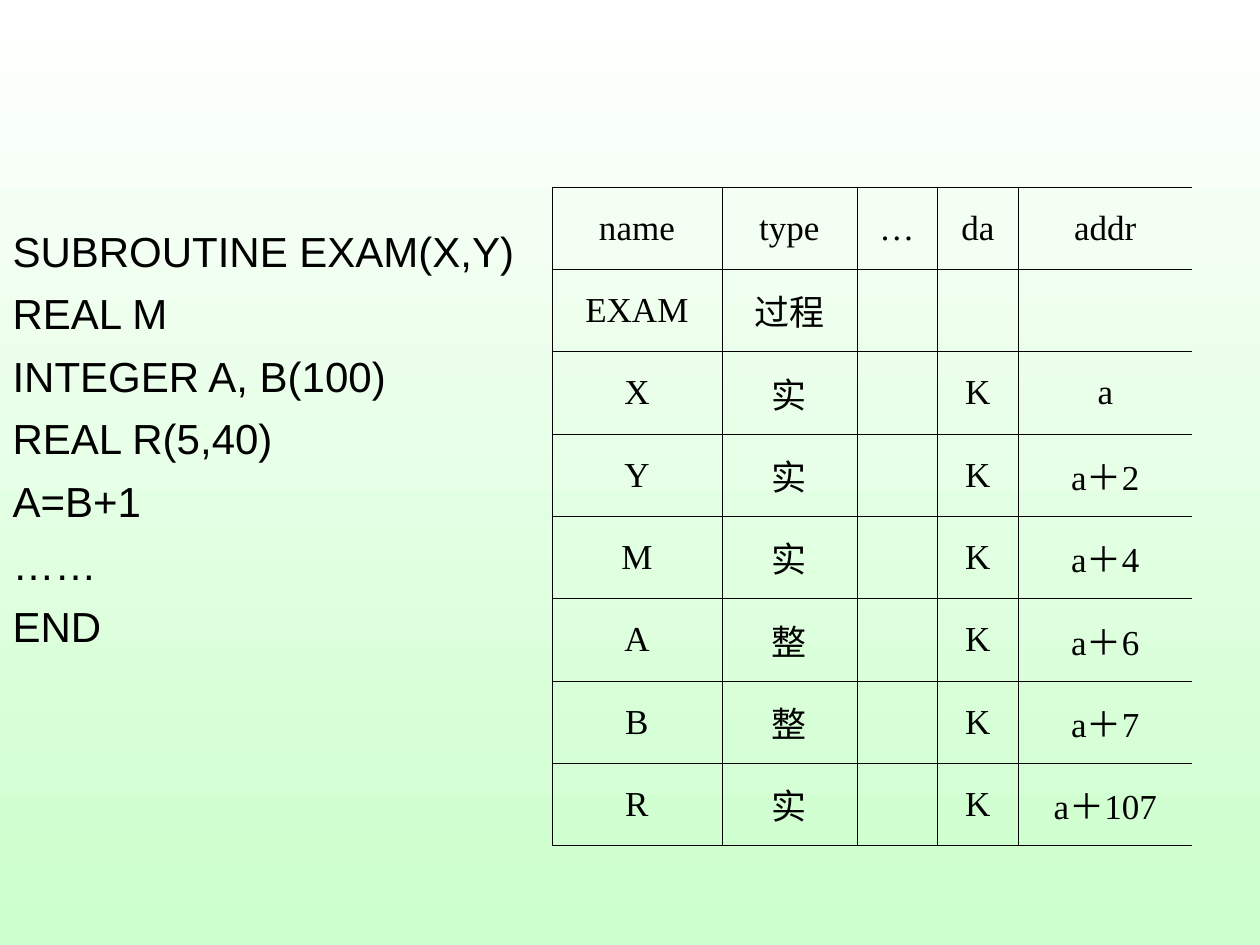
"""Build a slide with a Fortran subroutine and its symbol table."""
from lxml.etree import SubElement as Sub
from pptx import Presentation
from pptx.dml.color import RGBColor
from pptx.enum.text import MSO_ANCHOR as Anchor, MSO_AUTO_SIZE as Fit, PP_ALIGN as Align
from pptx.oxml.ns import qn
from pptx.util import Pt

PX = 914400 // 126
INK = "000000"


def tint(code):
    return RGBColor.from_string(code)


def style(para, face, size):
    para.font.name = face
    para.font.size = Pt(size)
    para.font.color.rgb = tint(INK)


deck = Presentation()
deck.slide_width, deck.slide_height = 1260 * PX, 945 * PX
slide = deck.slides.add_slide(deck.slide_layouts[1])
title = slide.shapes.title
title.element.getparent().remove(title.element)

back = slide.background.fill
back.gradient()
back.gradient_angle = 270
for stop, code in zip(back.gradient_stops, ("FFFFFF", "CCFFCC")):
    stop.color.rgb = tint(code)

lines = [
    "SUBROUTINE EXAM(X,Y)",
    "REAL M",
    "INTEGER A, B(100)",
    "REAL R(5,40)",
    "A=B+1",
    "……",
    "END",
]
body = slide.placeholders[1]
body.left, body.top, body.width, body.height = 0, 214 * PX, 557 * PX, 624 * PX
frame = body.text_frame
frame.auto_size = Fit.NONE
frame.margin_top = 11 * PX
frame.text = "\n".join(lines)
for n, para in enumerate(frame.paragraphs):
    props = para._p.get_or_add_pPr()
    props.set("marL", str(48 * PX))
    props.set("indent", str(-48 * PX))
    Sub(props, qn("a:buNone"))
    para.space_before = Pt(7 if n else 0)
    style(para, "Arial", 24)

rows = [
    ("name", "type", "…", "da", "addr"),
    ("EXAM", "过程", "", "", ""),
    ("X", "实", "", "K", "a"),
    ("Y", "实", "", "K", "a＋2"),
    ("M", "实", "", "K", "a＋4"),
    ("A", "整", "", "K", "a＋6"),
    ("B", "整", "", "K", "a＋7"),
    ("R", "实", "", "K", "a＋107"),
]
wide = [170, 135, 80, 82, 173]
last = len(wide) - 1
table = slide.shapes.add_table(
    len(rows), len(wide), 552 * PX, 187 * PX, sum(wide) * PX, 659 * PX
).table
table.first_row = table.horz_banding = False
for col, span in zip(table.columns, wide):
    col.width = span * PX

for r, row in enumerate(rows):
    for c, word in enumerate(row):
        cell = table.cell(r, c)
        cell.text = word
        cell.vertical_anchor = Anchor.MIDDLE
        cell.margin_left = cell.margin_right = 10 * PX
        para = cell.text_frame.paragraphs[0]
        para.alignment = Align.CENTER
        style(para, "Times New Roman", 20)
        props = cell._tc.get_or_add_tcPr()
        for side in "LRTB":
            edge = Sub(props, qn(f"a:ln{side}"), w=str(Pt(0.45)))
            if side == "R" and c == last:
                Sub(edge, qn("a:noFill"))
            else:
                Sub(Sub(edge, qn("a:solidFill")), qn("a:srgbClr"), val=INK)
        cell.fill.background()

deck.save("out.pptx")
